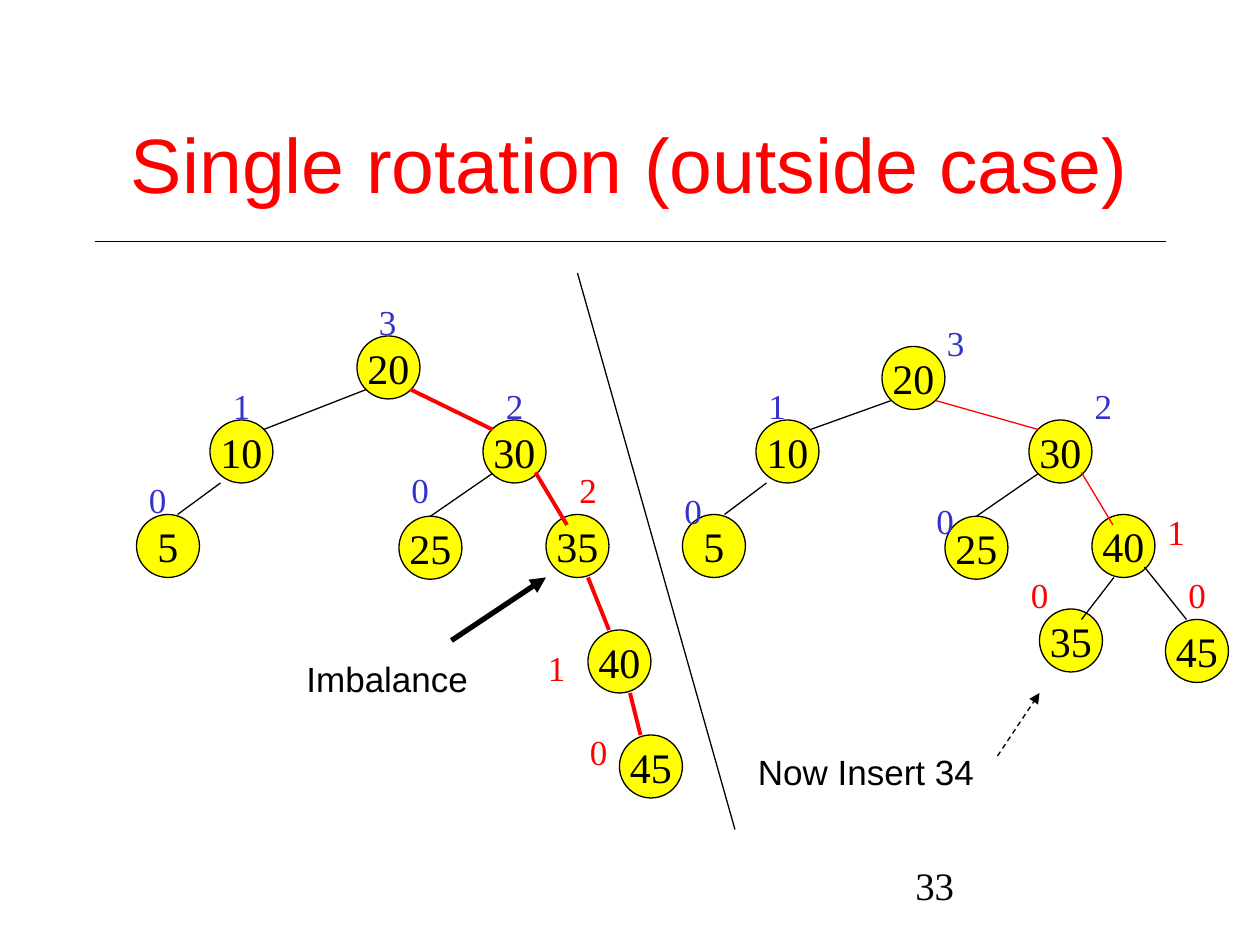
from typing import NamedTuple

from pptx import Presentation
from pptx.dml.color import RGBColor
from pptx.enum.dml import MSO_LINE
from pptx.enum.shapes import MSO_CONNECTOR, MSO_SHAPE
from pptx.enum.text import MSO_ANCHOR, PP_ALIGN
from pptx.oxml.ns import qn
from pptx.util import Pt
from lxml.etree import SubElement

BLACK = RGBColor(0x00, 0x00, 0x00)
RED = RGBColor(0xFF, 0x00, 0x00)
BLUE = RGBColor(0x33, 0x33, 0xCC)
YELLOW = RGBColor(0xFF, 0xFF, 0x00)
SANS = "Arial"
SERIF = "Times New Roman"
NODE_SIZE = 36


class Node(NamedTuple):
    key: str
    left: float
    top: float


class Edge(NamedTuple):
    x1: float
    y1: float
    x2: float
    y2: float
    color: RGBColor = BLACK


class Height(NamedTuple):
    value: str
    left: float
    top: float
    color: RGBColor = BLUE


class Tree(NamedTuple):
    nodes: list[Node]
    edges: list[Edge]
    heights: list[Height]
    red_width: float


BEFORE = Tree(
    nodes=[
        Node("20", 204, 192), Node("10", 120, 240), Node("30", 276, 240),
        Node("5", 78, 294), Node("25", 228, 295), Node("35", 312, 294),
        Node("40", 336, 360), Node("45", 354, 420),
    ],
    edges=[
        Edge(209.5, 222.5, 150.5, 245.5), Edge(234.5, 222.5, 281.5, 245.5, RED),
        Edge(126, 276, 101.5, 294), Edge(281.5, 270.5, 246, 295),
        Edge(306, 270, 324, 300, RED), Edge(336, 330, 348, 360, RED),
        Edge(360, 396, 366, 420, RED),
    ],
    heights=[
        Height("3", 209.5, 168), Height("1", 126, 216), Height("2", 282, 216),
        Height("0", 78, 270), Height("0", 228, 264), Height("2", 324, 264, RED),
        Height("1", 306, 366, RED), Height("0", 330, 414, RED),
    ],
    red_width=2.25,
)
AFTER = Tree(
    nodes=[
        Node("20", 504, 198), Node("10", 432, 240), Node("30", 588, 240),
        Node("5", 390, 294), Node("25", 540, 295), Node("40", 624, 294),
        Node("35", 594, 348), Node("45", 666, 354),
    ],
    edges=[
        Edge(509, 229, 463, 245.5), Edge(535, 229, 593.5, 245.5, RED),
        Edge(438, 276, 414, 294), Edge(593.5, 270.5, 558, 295),
        Edge(618, 270, 636, 300, RED), Edge(636.5, 330, 618, 354),
        Edge(654, 324, 678, 354),
    ],
    heights=[
        Height("3", 534, 180), Height("1", 432, 216), Height("2", 618.5, 216),
        Height("0", 384, 276), Height("0", 528, 282), Height("1", 660, 288, RED),
        Height("0", 582, 324, RED), Height("0", 672, 324, RED),
    ],
    red_width=0.75,
)


def write_text(shape, text: str, *, size: float, font: str = SERIF, color=BLACK,
               align=PP_ALIGN.LEFT, anchor=MSO_ANCHOR.TOP, wrap: bool = True,
               line_spacing: float = 1.0) -> None:
    frame = shape.text_frame
    frame.word_wrap = wrap
    frame.vertical_anchor = anchor
    paragraph = frame.paragraphs[0]
    paragraph.text = text
    paragraph.alignment = align
    paragraph.line_spacing = line_spacing
    paragraph.font.size = Pt(size)
    paragraph.font.name = font
    paragraph.font.color.rgb = color


def add_text(slide, text: str, left: float, top: float, width: float,
             height: float = 31.5, **text_format) -> None:
    box = slide.shapes.add_textbox(Pt(left), Pt(top), Pt(width), Pt(height))
    write_text(box, text, **text_format)


def add_line(slide, edge: Edge, width: float = 0.75, dashed: bool = False,
             arrow: bool = False) -> None:
    connector = slide.shapes.add_connector(
        MSO_CONNECTOR.STRAIGHT, Pt(edge.x1), Pt(edge.y1), Pt(edge.x2), Pt(edge.y2))
    connector.line.color.rgb = edge.color
    connector.line.width = Pt(width)
    if dashed:
        connector.line.dash_style = MSO_LINE.DASH
    if arrow:
        SubElement(connector.line._get_or_add_ln(), qn("a:tailEnd"), type="triangle")
    SubElement(connector._element.spPr, qn("a:effectLst"))


def add_node(slide, node: Node) -> None:
    circle = slide.shapes.add_shape(
        MSO_SHAPE.OVAL, Pt(node.left), Pt(node.top), Pt(NODE_SIZE), Pt(NODE_SIZE))
    circle.shadow.inherit = False
    circle.fill.solid()
    circle.fill.fore_color.rgb = YELLOW
    circle.line.color.rgb = BLACK
    circle.line.width = Pt(0.75)
    write_text(circle, node.key, size=24, align=PP_ALIGN.CENTER,
               anchor=MSO_ANCHOR.MIDDLE, wrap=False)


def add_tree(slide, tree: Tree) -> None:
    for node in tree.nodes:
        add_node(slide, node)
    for edge in tree.edges:
        add_line(slide, edge, tree.red_width if edge.color == RED else 0.75)
    for height in tree.heights:
        add_text(slide, height.value, height.left, height.top, 24.5,
                 size=20, color=height.color, wrap=False)


def main() -> None:
    presentation = Presentation()
    presentation.slide_width, presentation.slide_height = Pt(720), Pt(540)
    slide = presentation.slides.add_slide(presentation.slide_layouts[5])

    # Title, rule below it and slide number
    title = slide.shapes.title
    title.left, title.top, title.width, title.height = Pt(54), Pt(48), Pt(612), Pt(90)
    write_text(title, "Single rotation (outside case)", size=44, font=SANS, color=RED,
               align=PP_ALIGN.CENTER, anchor=MSO_ANCHOR.MIDDLE)
    add_line(slide, Edge(54, 138, 666, 138))
    add_text(slide, "33", 516, 492, 150, 36, size=22.2, line_spacing=0.9)

    # Trees before and after the rotation, with the divider between them
    add_tree(slide, BEFORE)
    add_tree(slide, AFTER)
    add_line(slide, Edge(330, 156, 420, 474))

    # Remarks with their arrows
    add_text(slide, "Imbalance", 168, 372, 108, size=20, font=SANS)
    add_line(slide, Edge(258, 366, 312, 330), width=3, arrow=True)
    add_text(slide, "Now Insert 34", 426, 425.5, 150, size=20, font=SANS)
    add_line(slide, Edge(570, 432, 594, 396), dashed=True, arrow=True)

    presentation.save("out.pptx")


if __name__ == "__main__":
    main()
